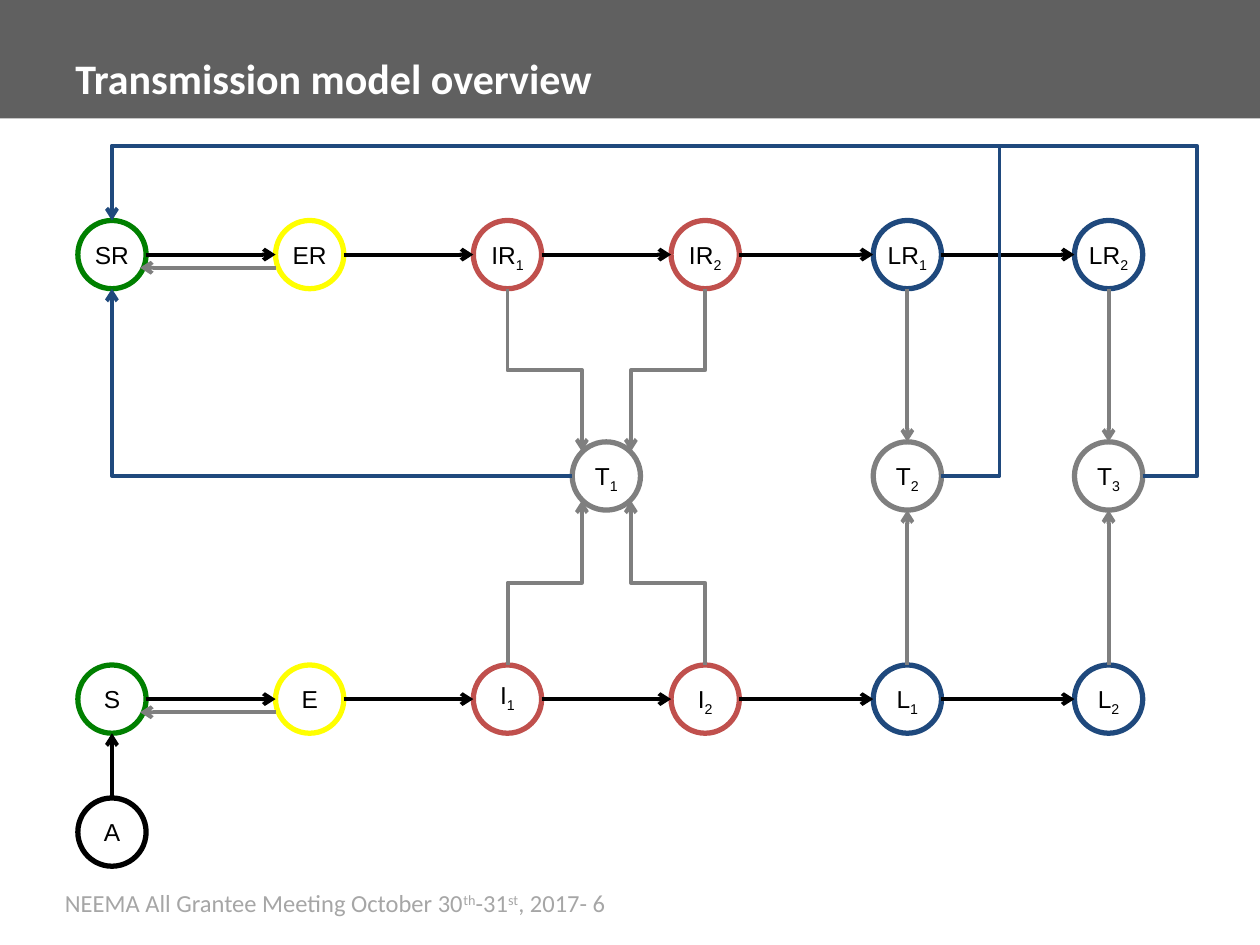
from pptx import Presentation, util as u
from pptx.dml.color import RGBColor
from pptx.enum import shapes, text
from pptx.oxml import ns
from lxml import etree

Pt = u.Pt
hue = RGBColor.from_string
BLACK, GREY, BLUE = "000000", "7F7F7F", "1F497D"
GREEN, YELLOW, RED = "008000", "FFFF00", "C0504D"

deck = Presentation()
deck.slide_width, deck.slide_height = Pt(720), Pt(540)
slide = deck.slides.add_slide(deck.slide_layouts[6])


def write(home, box, runs, font, size, color):
    """Add a text box; runs are (text, baseline in percent) pairs."""
    area = home.add_textbox(*map(Pt, box))
    frame = area.text_frame
    frame.word_wrap = True
    para = frame.paragraphs[0]
    for words, base in runs:
        run = para.add_run()
        run.text = words
        run.font.name, run.font.size = font, Pt(size)
        run.font.color.rgb = hue(color)
        if base:
            run._r.get_or_add_rPr().set("baseline", str(base * 1000))
    return frame


def link(start, end, color, bends=0, turn=False, adj=(), head="arrow"):
    """Add an arrow; turn makes an elbow leave its start vertically."""
    if turn:
        # Connector geometry starts sideways, so lay it flat, then rotate it
        mx, my = (start[0] + end[0]) / 2, (start[1] + end[1]) / 2
        start, end = [(mx + y - my, my - x + mx) for x, y in (start, end)]
    kind = shapes.MSO_CONNECTOR.ELBOW if bends else shapes.MSO_CONNECTOR.STRAIGHT
    line = slide.shapes.add_connector(kind, *map(Pt, start + end))
    line.line.color.rgb = hue(color)
    line.line.width = Pt(2.25)
    props = line.element.spPr
    if turn:
        props.find(ns.qn("a:xfrm")).set("rot", str(90 * 60000))
    if bends:
        geom = props.find(ns.qn("a:prstGeom"))
        geom.set("prst", f"bentConnector{bends + 1}")
        guides = geom.find(ns.qn("a:avLst"))
        for n, part in enumerate(adj, 1):
            etree.SubElement(guides, ns.qn("a:gd"), name=f"adj{n}",
                             fmla=f"val {round(part * 100000)}")
    etree.SubElement(props.find(ns.qn("a:ln")), ns.qn("a:tailEnd"), type=head)
    etree.SubElement(props, ns.qn("a:effectLst"))


# Header band and title
band = slide.shapes.add_shape(shapes.MSO_SHAPE.RECTANGLE, 0, 0, Pt(720), Pt(67.7))
band.shadow.inherit = False
band.fill.solid()
band.fill.fore_color.rgb = hue("606060")
band.line.fill.background()
title = write(slide.shapes, (36, -0.7, 648, 90),
              [("Transmission model overview", 0)], "Calibri", 24, "FFFFFF")
title.vertical_anchor = text.MSO_ANCHOR.MIDDLE
title.paragraphs[0].runs[0].font.bold = True

# Footer
foot = write(slide.shapes, (30, 504, 341, 24.5),
             [("NEEMA All Grantee Meeting October 30", 0), ("th", 30),
              ("-31", 0), ("st", 30), (", 2017- 6", 0)], "Calibri", 14, "A6A6A6")
foot.word_wrap = False

# Grid of node centres
R = 19.5
cols = [64, 177, 290, 403, 518.5, 633.5]
top, mid, low, base = 145.5, 272, 399.5, 475.5
hub = 346.5

# Nodes: label, subscript, centre, outline
states = [("S", "", GREEN), ("E", "", YELLOW), ("I", "1", RED),
          ("I", "2", RED), ("L", "1", BLUE), ("L", "2", BLUE)]
nodes = [("A", "", 64, base, BLACK)]
for x, (name, sub, color) in zip(cols, states):
    nodes += [(name, sub, x, low, color), (name + "R", sub, x, top, color)]
for x, sub in zip([hub] + cols[4:], "123"):
    nodes.append(("T", sub, x, mid, GREY))

for name, sub, x, y, color in nodes:
    group = slide.shapes.add_group_shape().shapes
    ring = group.add_shape(shapes.MSO_SHAPE.OVAL, Pt(x - R), Pt(y - R),
                           Pt(2 * R), Pt(2 * R))
    ring.shadow.inherit = False
    ring.fill.background()
    ring.line.color.rgb = hue(color)
    ring.line.width = Pt(3)
    wide = 46 if name == "LR" else 36
    lift = 14.5 if name + sub == "I1" else 12
    runs = [(name, 0)] + ([(sub, -25)] if sub else [])
    label = write(group, (x - wide / 2, y - lift, wide, 24.5), runs,
                  "Arial", 14, BLACK)
    label.paragraphs[0].alignment = text.PP_ALIGN.CENTER

# Progression along each row, and the return from exposed
for y in (top, low):
    for a, b in zip(cols, cols[1:]):
        link((a + R, y), (b - R, y), BLACK)
    link((cols[1] - R, y + 7.5), (cols[0] + 16, y + 7.5), GREY)
link((cols[0], base - R), (cols[0], low + R), BLACK)

# Into treatment, from above and below
for y, way in ((top, 1), (low, -1)):
    for x in cols[4:]:
        link((x, y + way * R), (x, mid - way * R), GREY)
    for x, side in ((cols[2], -1), (cols[3], 1)):
        link((x, y + way * R), (hub + side * 14, mid - way * 14), GREY,
             bends=2, turn=True, adj=[0.5])

# Treated back to SR
link((hub - R, mid), (cols[0], top + R), BLUE, bends=1)
goal = (cols[0], top - R)
rise = 83.5
for x, edge, head in ((cols[4], 571, "arrow"), (cols[5], 684, "triangle")):
    out = x + R
    link((out, mid), goal, BLUE, bends=3, head=head,
         adj=[(out - edge) / (out - goal[0]), (mid - rise) / (mid - goal[1])])

deck.save("out.pptx")
